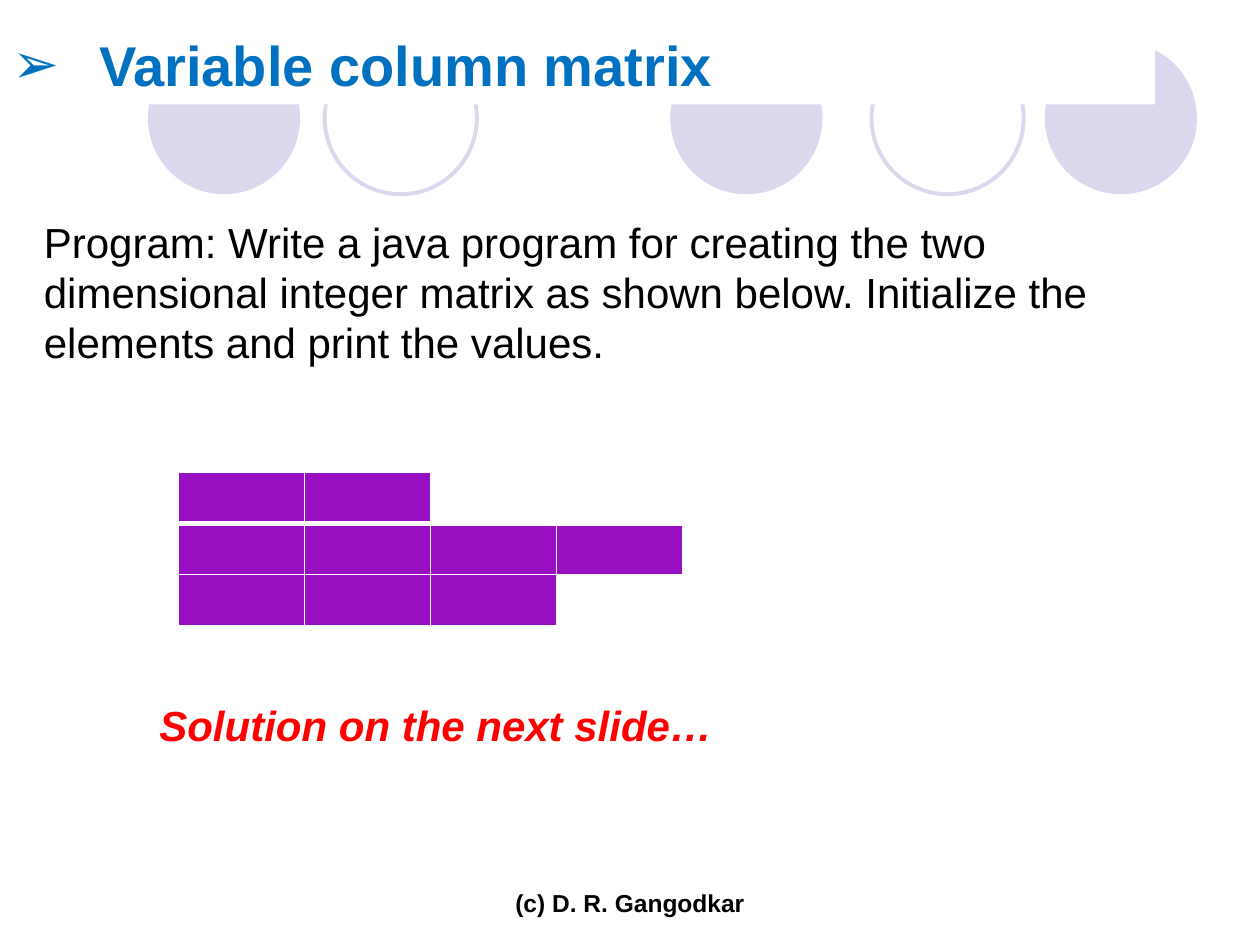
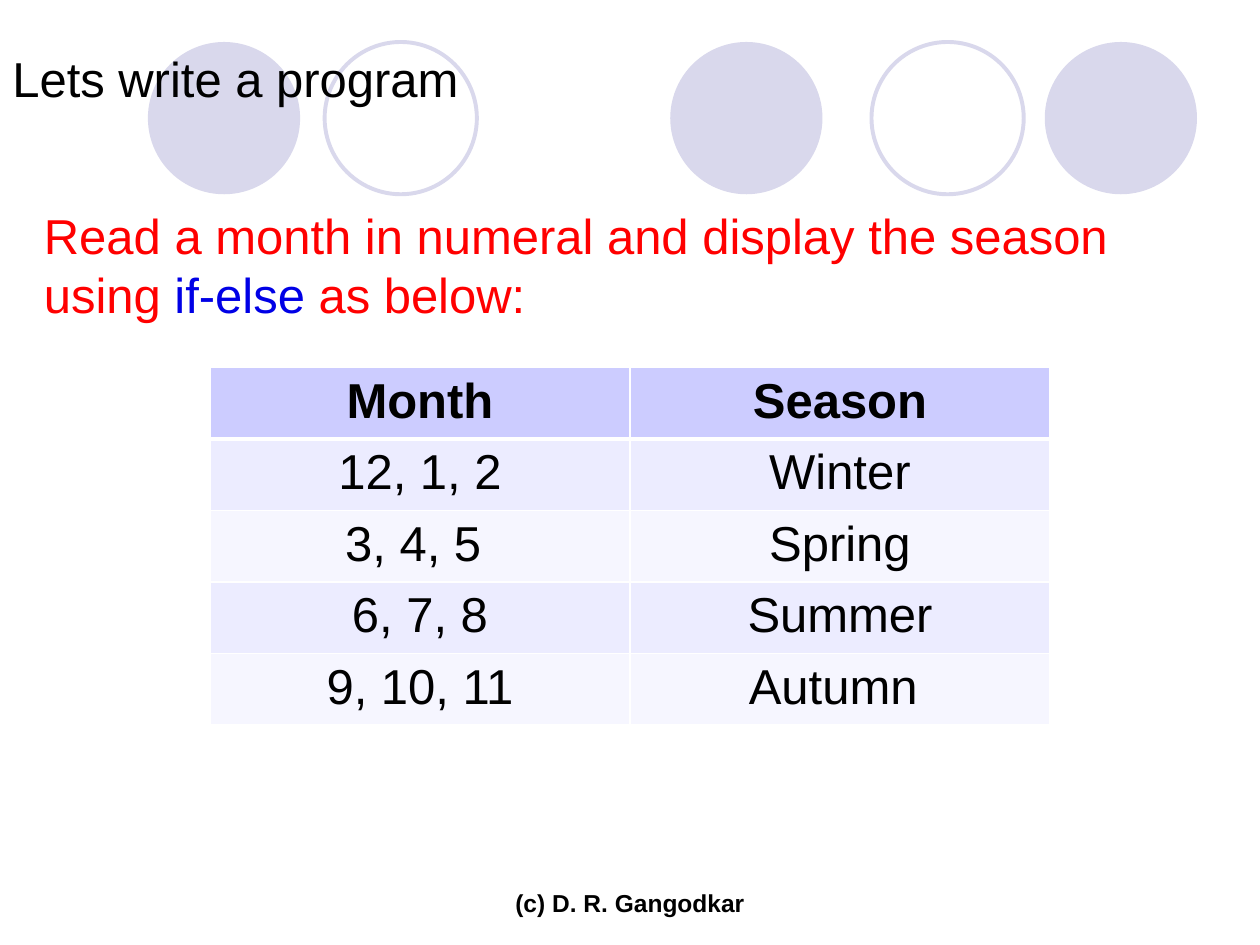
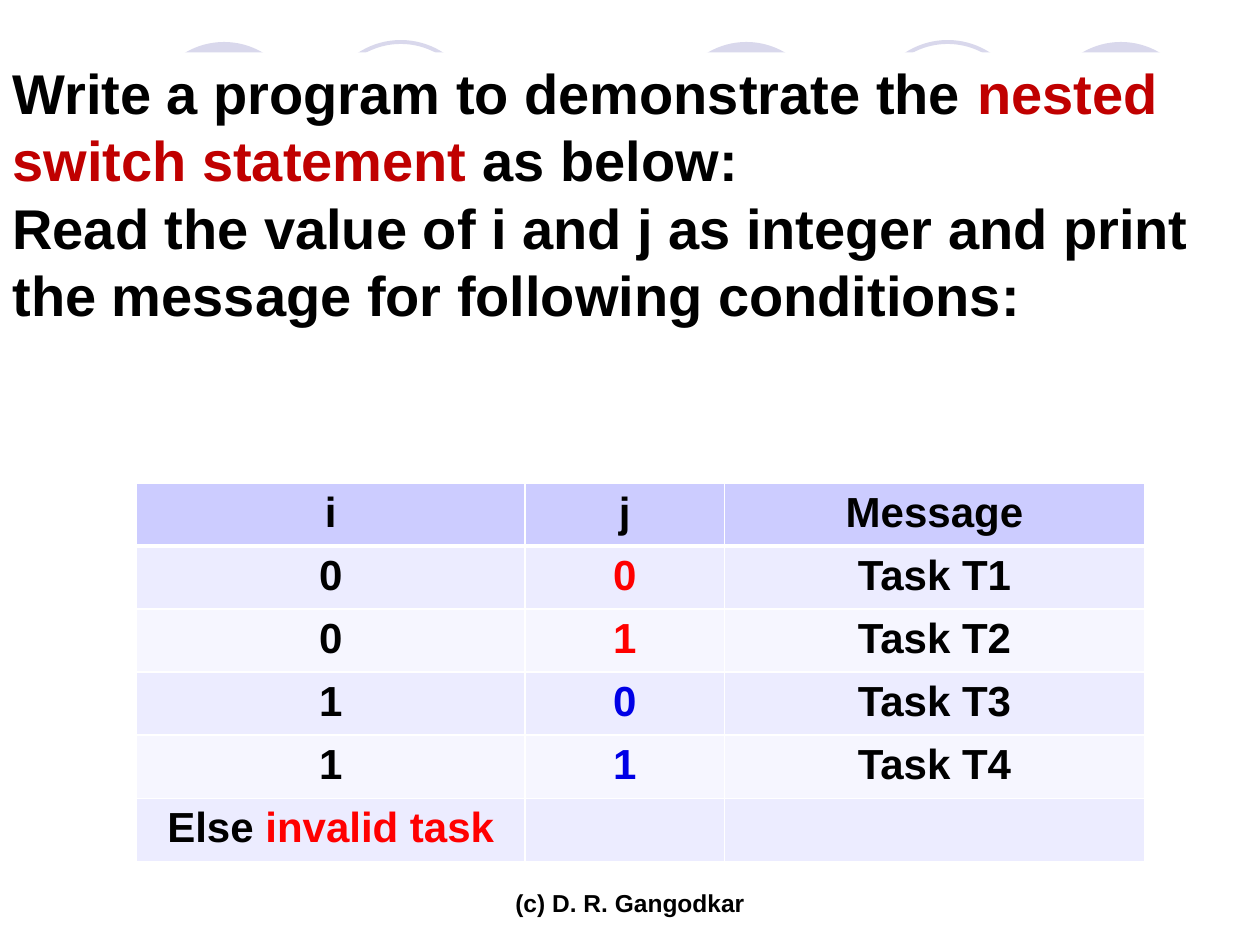
from lxml.etree import SubElement
from pptx import Presentation
from pptx.dml.color import RGBColor
from pptx.enum.shapes import MSO_SHAPE as Shape
from pptx.enum.text import MSO_ANCHOR as Anchor, PP_ALIGN as Align
from pptx.oxml.ns import qn
from pptx.util import Pt

FONT = "Arial"
COLORS = {
    "white": "FFFFFF", "black": "000000", "red": "FF0000", "blue": "0000E6",
    "crimson": "C00000", "heading": "0070C0", "circle": "D9D8EC",
    "matrix": "970FC1", "header": "CCCCFF", "odd": "ECECFF", "even": "F6F6FF",
}

# Text is a list of paragraphs, each a list of runs: plain text or (text, color).
FOOTER = [["(c) D. R. Gangodkar"]]
MATRIX_HEADING = [["Variable column matrix"]]
MATRIX_TASK = [["Program: Write a java program for creating the two dimensional integer "
                "matrix as shown below. Initialize the elements and print the values."]]
MATRIX_HINT = [["Solution on the next slide…"]]
MATRIX_ROW_LENGTHS = [2, 4, 3]

SEASON_HEADING = [["Lets write a program"]]
SEASON_TASK = [["Read a month in numeral and display the season using ",
                ("if-else", "blue"), " as below:"]]
SEASONS = [
    [["Month"], ["Season"]],
    [["12, 1, 2"], ["Winter"]],
    [["3, 4, 5 "], ["Spring"]],
    [["6, 7, 8"], ["Summer"]],
    [["9, 10, 11"], ["Autumn "]],
]

SWITCH_TASK = [
    ["Write a program to demonstrate the ", ("nested switch statement", "crimson"), " as below:"],
    ["Read the value of i and j as integer and print the message for following conditions:"],
]
SWITCH_CASES = [
    [["i"], ["j"], ["Message"]],
    [["0"], [("0", "red")], ["Task T1"]],
    [["0"], [("1", "red")], ["Task T2"]],
    [["1"], [("0", "blue")], ["Task T3"]],
    [["1"], [("1", "blue")], ["Task T4"]],
    [["Else ", ("invalid task", "red")], [], []],
]

CIRCLE_TOP, CIRCLE_SIZE = 24, 87
CIRCLES = [(383, True), (597, True), (84.5, True), (498, False), (185.5, False)]  # left, filled


def rgb(name):
    return RGBColor.from_string(COLORS[name])


def paint(target, color):
    target.fill.solid()
    target.fill.fore_color.rgb = rgb(color)


def write(frame, paragraphs, size=24, color="black", bold=False, italic=False,
          align=Align.LEFT, bullet=None, indent=0):
    frame.word_wrap = True
    frame.vertical_anchor = Anchor.TOP
    for index, runs in enumerate(paragraphs):
        paragraph = frame.add_paragraph() if index else frame.paragraphs[0]
        paragraph.alignment = align
        if bullet:
            properties = paragraph._p.get_or_add_pPr()
            properties.set("marL", str(Pt(indent)))
            properties.set("indent", str(-Pt(indent)))
            SubElement(properties, qn("a:buFont"), typeface=FONT)
            SubElement(properties, qn("a:buChar"), char=bullet)
        for item in runs:
            words, run_color = (item, color) if isinstance(item, str) else item
            run = paragraph.add_run()
            run.text = words
            run.font.name, run.font.size = FONT, Pt(size)
            run.font.bold, run.font.italic = bold, italic
            run.font.color.rgb = rgb(run_color)


def add_text(slide, box, paragraphs, fill=None, **style):
    area = [Pt(length) for length in box]
    if fill:
        holder = slide.shapes.add_shape(Shape.RECTANGLE, *area)
        holder.shadow.inherit = False
        holder.line.fill.background()
        paint(holder, fill)
    else:
        holder = slide.shapes.add_textbox(*area)
    write(holder.text_frame, paragraphs, **style)


def add_border(cell, side, width):
    line = SubElement(cell._tc.get_or_add_tcPr(), qn(f"a:ln{side}"), w=str(Pt(width)))
    SubElement(SubElement(line, qn("a:solidFill")), qn("a:srgbClr"), val=COLORS["white"])


def add_grid(slide, left, top, widths, row_height, fills):
    """Add a table with white rules, thicker below its first row, and a fill per cell."""
    row_count = len(fills)
    table = slide.shapes.add_table(row_count, len(widths), Pt(left), Pt(top),
                                   Pt(sum(widths)), Pt(row_height * row_count)).table
    table.first_row = table.horz_banding = False
    for column, width in zip(table.columns, widths):
        column.width = Pt(width)
    for r, row_fills in enumerate(fills):
        table.rows[r].height = Pt(row_height)
        for c, fill in enumerate(row_fills):
            cell = table.cell(r, c)
            rules = {"L": 1, "R": 1, "T": 3 if r == 1 else 1, "B": 3 if r == 0 else 1}
            for side, width in rules.items():
                add_border(cell, side, width)
            paint(cell, fill)
    return table


def add_banded_table(slide, left, top, widths, row_height, rows, size, bold_body):
    fills = [["header" if r == 0 else "odd" if r % 2 else "even"] * len(widths)
             for r in range(len(rows))]
    table = add_grid(slide, left, top, widths, row_height, fills)
    for r, row in enumerate(rows):
        for c, runs in enumerate(row):
            write(table.cell(r, c).text_frame, [runs], size=size,
                  bold=r == 0 or bold_body, align=Align.CENTER)


def add_base_slide(deck):
    """Add a blank slide with the row of circles and the footer."""
    slide = deck.slides.add_slide(deck.slide_layouts[6])
    for left, filled in CIRCLES:
        circle = slide.shapes.add_shape(Shape.OVAL, Pt(left), Pt(CIRCLE_TOP),
                                        Pt(CIRCLE_SIZE), Pt(CIRCLE_SIZE))
        circle.shadow.inherit = False
        if filled:
            paint(circle, "circle")
            circle.line.fill.background()
        else:
            circle.fill.background()
            circle.line.color.rgb = rgb("circle")
            circle.line.width = Pt(2.25)
    add_text(slide, (246, 504, 228, 24), FOOTER, size=14, bold=True, align=Align.CENTER)
    return slide


def add_matrix_slide(deck):
    slide = add_base_slide(deck)
    add_text(slide, (18, 120, 660, 94), MATRIX_TASK)
    longest = max(MATRIX_ROW_LENGTHS)
    fills = [["matrix"] * length + ["white"] * (longest - length)
             for length in MATRIX_ROW_LENGTHS]
    add_grid(slide, 102, 270, [72] * longest, 29.2, fills)
    add_text(slide, (84, 396, 345, 36), MATRIX_HINT, color="red", bold=True, italic=True)
    add_text(slide, (0, 13.7, 660, 46), MATRIX_HEADING, fill="white", size=32,
             color="heading", bold=True, bullet="➢", indent=49.5)


def add_season_slide(deck):
    slide = add_base_slide(deck)
    add_text(slide, (18, 114, 672, 75), SEASON_TASK, size=28, color="red")
    add_banded_table(slide, 120, 210, [240, 240], 40.8, SEASONS, size=28, bold_body=False)
    add_text(slide, (0, 24, 720, 41), SEASON_HEADING, size=28)


def add_switch_slide(deck):
    slide = add_base_slide(deck)
    add_text(slide, (0, 30, 720, 163), SWITCH_TASK, fill="white", size=32, bold=True)
    add_banded_table(slide, 78, 276, [222, 114, 240], 36, SWITCH_CASES, size=24, bold_body=True)


def main():
    deck = Presentation()
    deck.slide_width, deck.slide_height = Pt(720), Pt(540)
    add_matrix_slide(deck)
    add_season_slide(deck)
    add_switch_slide(deck)
    deck.save("out.pptx")


if __name__ == "__main__":
    main()
